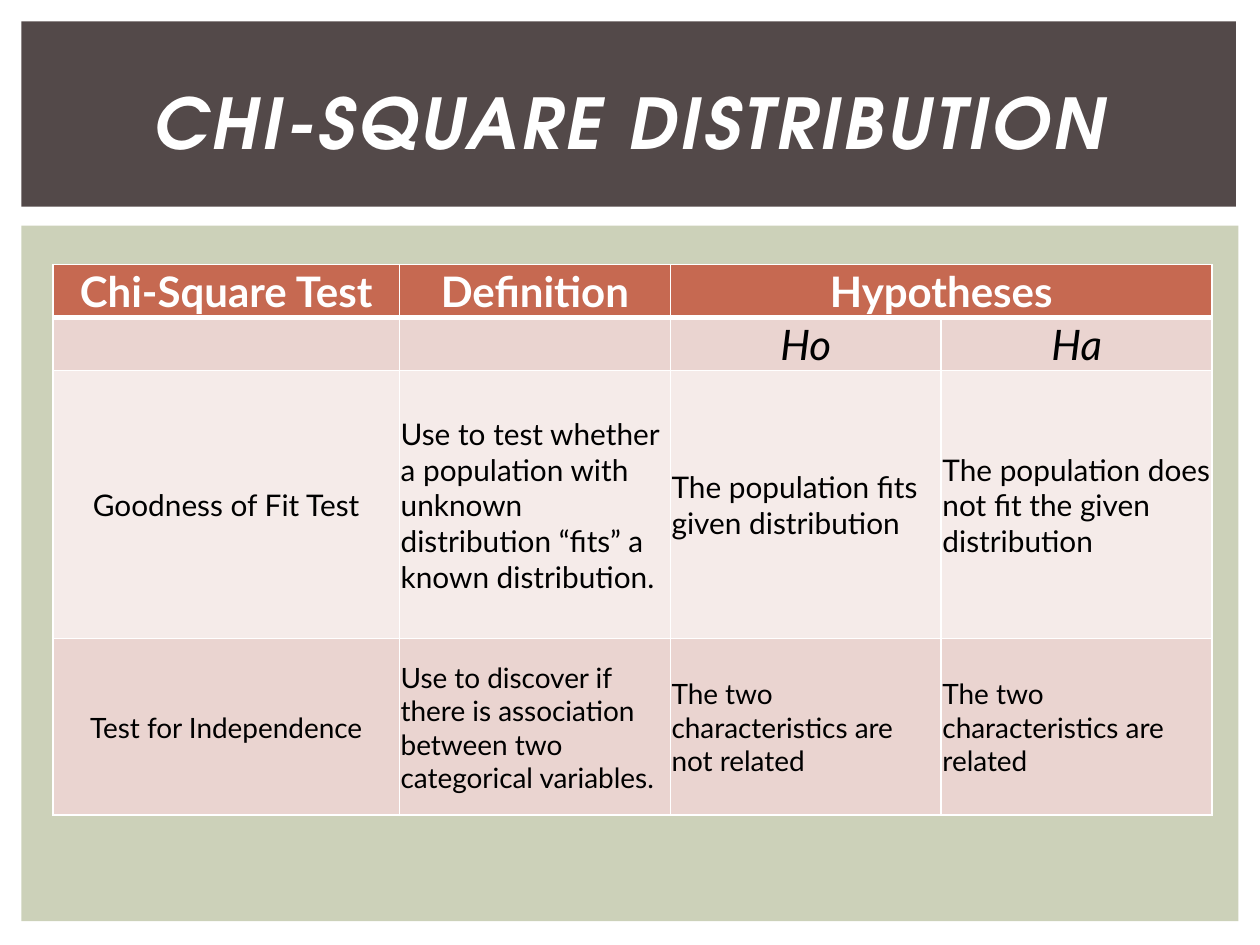
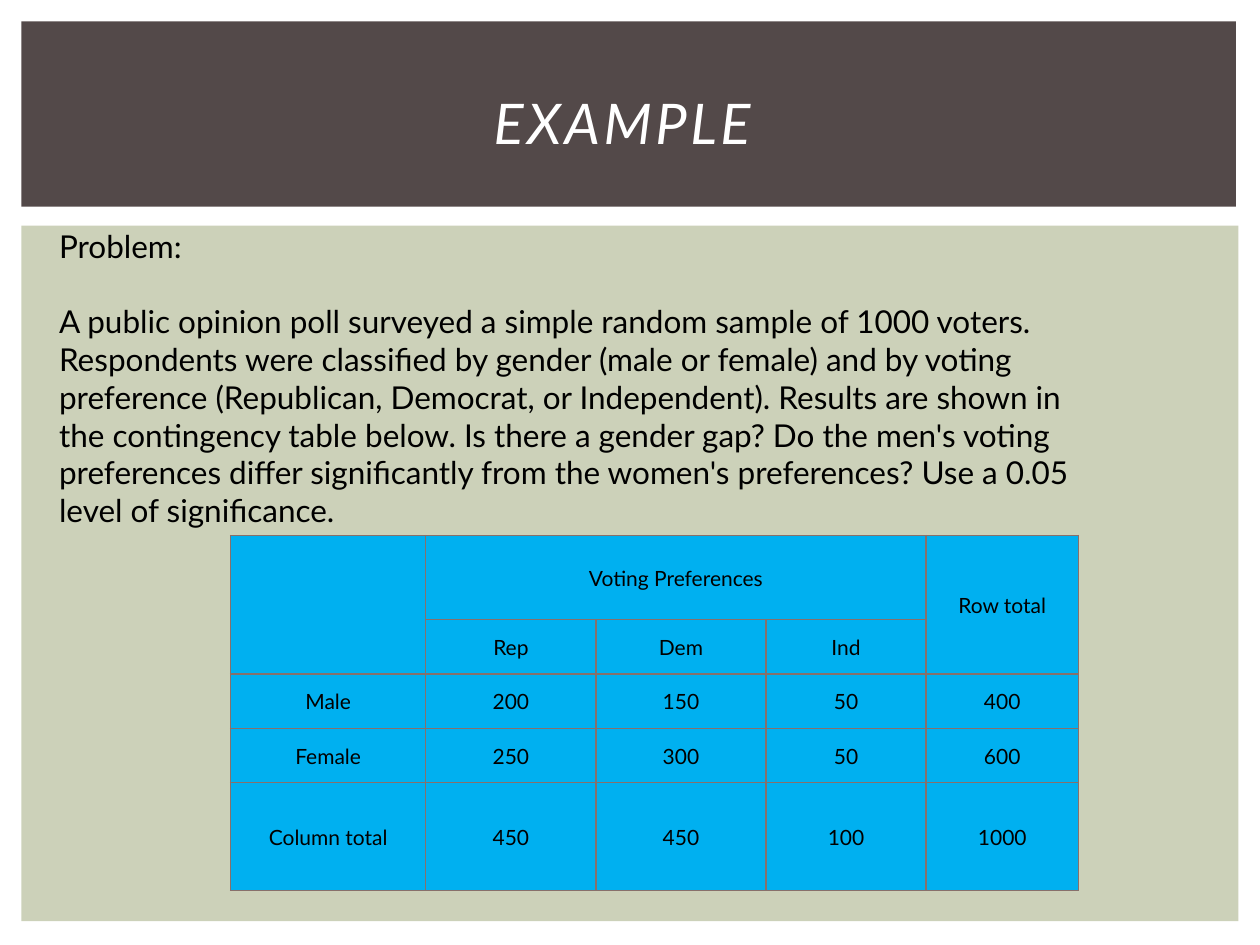
"""Build two slides on the chi-square distribution."""
from lxml import etree
from pptx import Presentation
from pptx.dml.color import RGBColor
from pptx.enum.shapes import MSO_SHAPE
from pptx.enum.text import MSO_ANCHOR, PP_ALIGN
from pptx.oxml.ns import qn
from pptx.util import Inches, Pt

RECTANGLE = MSO_SHAPE.RECTANGLE
MIDDLE, TOP = MSO_ANCHOR.MIDDLE, MSO_ANCHOR.TOP
CENTER, LEFT = PP_ALIGN.CENTER, PP_ALIGN.LEFT

BODY_FONT = "Lato"
DISPLAY_FONT = "TeX Gyre Adventor"
COLORS = {
    "white": "FFFFFF",
    "black": "000000",
    "panel": "CCD1B9",
    "band": "534949",
    "header": "C66951",
    "row_dark": "EAD4D0",
    "row_light": "F5EBE9",
    "poll": "00B0F0",
    "poll_line": "87706B",
}

TEST_ROWS = [
    ["Chi-Square Test", "Definition", "Hypotheses", ""],
    ["", "", "Ho", "Ha"],
    ["Goodness of Fit Test",
     "Use to test whether a population with unknown distribution “fits” a known distribution.",
     "The population fits given distribution",
     "The population does not fit the given distribution"],
    ["Test for Independence",
     "Use to discover if there is association between two categorical variables.",
     "The two characteristics are not related",
     "The two characteristics are related"],
]
TEST_STYLES = [
    {"fill": "header", "size": 24, "color": "white", "bold": True},
    {"fill": "row_dark", "size": 24, "italic": True},
    {"fill": "row_light", "size": 17},
    {"fill": "row_dark", "size": 16},
]
POLL_ROWS = [
    ["", "Voting Preferences", "", "", "Row total"],
    ["", "Rep", "Dem", "Ind", ""],
    ["Male", "200", "150", "50", "400"],
    ["Female", "250", "300", "50", "600"],
    ["Column total", "450", "450", "100", "1000"],
]
PROBLEM = [
    "Problem:",
    "A public opinion poll surveyed a simple random sample of 1000 voters. "
    "Respondents were classified by gender (male or female) and by voting "
    "preference (Republican, Democrat, or Independent). Results are shown in "
    "the\u00a0contingency table\u00a0below. Is there a gender gap? Do the men's "
    "voting preferences differ significantly from the women's preferences? "
    "Use a 0.05 level of significance.",
]


def rgb(name):
    """Return the named colour."""
    return RGBColor.from_string(COLORS[name])


def format_paragraph(paragraph, size, color="black", font=BODY_FONT,
                     bold=False, italic=False, align=LEFT):
    """Align a paragraph and style its runs."""
    paragraph.alignment = align
    for run in paragraph.runs:
        run.font.name = font
        run.font.size = Pt(size)
        run.font.bold = bold
        run.font.italic = italic
        run.font.color.rgb = rgb(color)


def add_rectangle(slide, left, top, width, height, color):
    """Add a plain filled rectangle."""
    shape = slide.shapes.add_shape(
        RECTANGLE, Inches(left), Inches(top), Inches(width), Inches(height))
    shape.shadow.inherit = False
    shape.fill.solid()
    shape.fill.fore_color.rgb = rgb(color)
    shape.line.fill.background()


def add_text(slide, left, top, width, height, paragraphs, anchor=TOP):
    """Add a wrapping text box and return its paragraphs."""
    box = slide.shapes.add_textbox(
        Inches(left), Inches(top), Inches(width), Inches(height))
    frame = box.text_frame
    frame.word_wrap = True
    frame.vertical_anchor = anchor
    frame.text = "\n".join(paragraphs)
    return frame.paragraphs


def add_title(slide, text, size, **style):
    """Add the letter-spaced slide title."""
    paragraph = add_text(slide, 0.42, 0.39, 9.17, 1.15, [text], MIDDLE)[0]
    format_paragraph(paragraph, size, "white", italic=True, align=CENTER, **style)
    for run in paragraph.runs:
        run.font._element.set("spc", "200")


def add_base_slide(presentation):
    """Add a blank slide with the shared panel and title band."""
    slide = presentation.slides.add_slide(presentation.slide_layouts[6])
    add_rectangle(slide, 0.17, 1.79, 9.66, 5.52, "panel")
    add_rectangle(slide, 0.17, 0.17, 9.64, 1.47, "band")
    return slide


def set_border(cell, side, color, width):
    """Draw one border of a cell; side is L, R, T or B."""
    properties = cell._tc.get_or_add_tcPr()
    line = etree.SubElement(properties, qn(f"a:ln{side}"), w=str(Pt(width)))
    fill = etree.SubElement(line, qn("a:solidFill"))
    etree.SubElement(fill, qn("a:srgbClr"), val=COLORS[color])


def fill_cell(cell, text, fill, align, size, **style):
    """Set the text, margins and fill of a cell."""
    cell.margin_left = cell.margin_right = cell.margin_top = Inches(0.01)
    cell.margin_bottom = 0
    cell.vertical_anchor = MIDDLE
    cell.fill.solid()
    cell.fill.fore_color.rgb = rgb(fill)
    cell.text = text
    format_paragraph(cell.text_frame.paragraphs[0], size, align=align, **style)


def add_grid(slide, left, top, widths, heights, rows, styles, line, line_width,
             header_width, text_start):
    """Add a table; rows from text_start on are left aligned after column one."""
    table = slide.shapes.add_table(
        len(rows), len(widths), Inches(left), Inches(top),
        Inches(sum(widths)), Inches(sum(heights))).table
    table.first_row = table.horz_banding = False
    for column, width in zip(table.columns, widths):
        column.width = Inches(width)
    for row, height in zip(table.rows, heights):
        row.height = Inches(height)
    for row_index, (texts, style) in enumerate(zip(rows, styles)):
        for column_index, text in enumerate(texts):
            cell = table.cell(row_index, column_index)
            for side in "LRTB":
                under_header = (row_index, side) in [(0, "B"), (1, "T")]
                set_border(cell, side, line,
                           header_width if under_header else line_width)
            is_prose = row_index >= text_start and column_index > 0
            fill_cell(cell, text, align=LEFT if is_prose else CENTER, **style)
    return table


def build_distribution(presentation):
    """Build the slide comparing the chi-square tests."""
    slide = add_base_slide(presentation)
    add_title(slide, "CHI-SQUARE DISTRIBUTION", 40, font=DISPLAY_FONT, bold=True)
    table = add_grid(slide, 0.42, 2.1, [2.75] + [2.15] * 3,
                     [0.42, 0.42, 2.13, 1.4], TEST_ROWS, TEST_STYLES,
                     "white", 1, header_width=3, text_start=2)
    table.cell(0, 2).merge(table.cell(0, 3))


def build_example(presentation):
    """Build the slide with the poll problem."""
    slide = add_base_slide(presentation)
    styles = [{"fill": "poll", "size": 12}] * len(POLL_ROWS)
    table = add_grid(slide, 1.83, 4.25, [1.55, 1.35, 1.35, 1.27, 1.21],
                     [0.67, 0.43, 0.43, 0.43, 0.86], POLL_ROWS, styles,
                     "poll_line", 0.79, header_width=0.79,
                     text_start=len(POLL_ROWS))
    table.cell(0, 0).merge(table.cell(1, 0))
    table.cell(0, 1).merge(table.cell(0, 3))
    table.cell(0, 4).merge(table.cell(1, 4))
    add_title(slide, "EXAMPLE ", 32)
    paragraphs = add_text(slide, 0.37, 1.75, 8.75, 2.83, PROBLEM)
    for paragraph in paragraphs:
        format_paragraph(paragraph, 18)
    paragraphs[1].space_before = Pt(21.6)


def main():
    """Build and save the presentation."""
    presentation = Presentation()
    presentation.slide_width = Inches(10)
    presentation.slide_height = Inches(7.5)
    build_distribution(presentation)
    build_example(presentation)
    presentation.save("out.pptx")


main()
